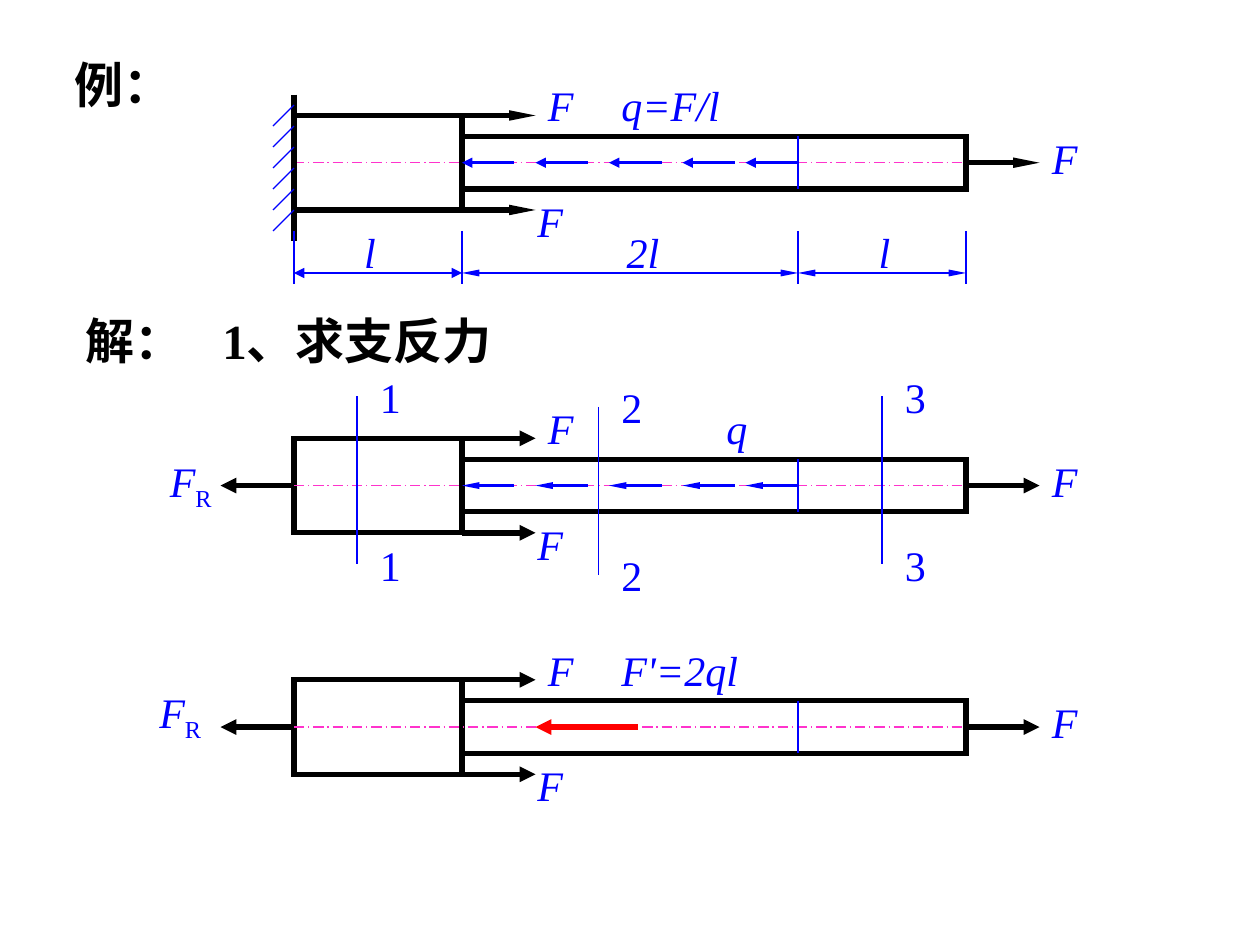
from dataclasses import dataclass

from lxml import etree
from pptx import Presentation
from pptx.dml.color import RGBColor
from pptx.enum.dml import MSO_LINE
from pptx.enum.shapes import MSO_CONNECTOR, MSO_SHAPE
from pptx.enum.text import MSO_AUTO_SIZE
from pptx.oxml.ns import qn
from pptx.util import Inches, Pt

STRAIGHT = MSO_CONNECTOR.STRAIGHT
RECT = MSO_SHAPE.RECTANGLE
GROW = MSO_AUTO_SIZE.SHAPE_TO_FIT_TEXT
DASH = MSO_LINE.LONG_DASH_DOT
LEFT, RIGHT = 1, 3
PLAIN = ("med", "med")
SLIM = ("sm", "lg")


@dataclass(frozen=True)
class Theme:
    """Colours, font, type sizes and line widths."""
    ink: RGBColor = RGBColor(0, 0, 0)
    blue: RGBColor = RGBColor(0, 0, 255)
    pink: RGBColor = RGBColor(255, 51, 204)
    red: RGBColor = RGBColor(255, 0, 0)
    font: str = "Times New Roman"
    title: float = 28
    label: float = 24
    thin: float = 0.75
    load: float = 1.5
    bold: float = 3


LOOK = Theme()


def cell(count):
    """Turn grid cells, twelve to the inch, into a length."""
    return Inches(count / 12)


def draw(slide, start, end, color, width, head=None, tail=None, dash=None):
    """Draw a straight line between two grid points."""
    line = slide.shapes.add_connector(STRAIGHT, *map(cell, (*start, *end)))
    line.line.color.rgb = color
    line.line.width = Pt(width)
    if dash:
        line.line.dash_style = dash
    props = line._element.spPr
    edge = props.find(qn("a:ln"))
    for tag, size in (("a:headEnd", head), ("a:tailEnd", tail)):
        if size:
            etree.SubElement(edge, qn(tag), type="triangle", w=size[0], len=size[1])
    etree.SubElement(props, qn("a:effectLst"))
    return line


def block(slide, box):
    """Draw an open rectangle with a heavy, square-cornered edge."""
    shape = slide.shapes.add_shape(RECT, *map(cell, box))
    shape.shadow.inherit = False
    shape.fill.background()
    shape.line.color.rgb = LOOK.ink
    shape.line.width = Pt(LOOK.bold)
    etree.SubElement(shape._element.spPr.find(qn("a:ln")), qn("a:miter"), lim="800000")
    return shape


def write(slide, text, box, size=LOOK.label, color=LOOK.blue,
          bold=False, slant=True, wrap=True, sub=""):
    """Write a label, with an upright subscript if one is given."""
    frame = slide.shapes.add_textbox(*map(cell, box)).text_frame
    frame.word_wrap = wrap
    frame.auto_size = GROW
    line = frame.paragraphs[0]
    line.text = text
    if sub:
        line.add_run().text = sub
    for run in line.runs:
        run.font.name = LOOK.font
        run.font.size = Pt(size)
        run.font.color.rgb = color
        run.font.bold = bold
        run.font.italic = slant
    if sub:
        line.runs[1].font.italic = False
        line.runs[1].font._element.set("baseline", "-25000")


def bar(slide, box, head=PLAIN):
    """Draw the stepped bar with its axis and pulls, and return its blocks."""
    x, y, wide, high = box
    mid, cut, end = x + wide / 4, x + wide * 3 / 4, x + wide
    axis, step = y + high / 2, high * 2 / 9
    thick = block(slide, (x, y, wide / 4, high))
    slim = block(slide, (mid, y + step, wide * 3 / 4, high - 2 * step))
    core = draw(slide, (x, axis), (end + 0.75, axis), LOOK.pink, LOOK.thin, dash=DASH)
    core.begin_connect(thick, LEFT)
    for row in (y, y + high):
        draw(slide, (mid, row), (mid + 7, row), LOOK.ink, LOOK.bold, tail=head)
    pull = draw(slide, (end, axis), (end + 7, axis), LOOK.ink, LOOK.bold, tail=head)
    pull.begin_connect(slim, RIGHT)
    draw(slide, (cut, y + step), (cut, y + high - step), LOOK.blue, LOOK.thin)
    for col, row in ((mid + 7, y - 4), (mid + 6, y + 7), (end + 7, y + 1)):
        write(slide, "F", (col, row, 5, 6))
    return thick, slim


def spread(slide, box, slim, head):
    """Draw the row of load arrows along the slim block."""
    x, y, wide, high = box
    mid, axis = x + wide / 4, y + high / 2
    for gap in (0, 7, 14, 21, 27):
        arrow = draw(slide, (mid + gap, axis), (mid + gap + 5, axis),
                     LOOK.blue, LOOK.load, head=head)
        if not gap:
            arrow.begin_connect(slim, LEFT)


def react(slide, box, thick, spot):
    """Draw the support force and its label."""
    x, y, _, high = box
    axis = y + high / 2
    force = draw(slide, (x - 7, axis), (x, axis), LOOK.ink, LOOK.bold, head=PLAIN)
    force.end_connect(thick, LEFT)
    write(slide, "F", (*spot, 7, 6.75), sub="R")


def wall(slide, box):
    """Draw the fixed support with its hatching."""
    x, y, _, high = box
    draw(slide, (x, y - 2), (x, y + high + 3), LOOK.ink, LOOK.bold)
    for row in range(6):
        top = y - 1 + 2 * row
        draw(slide, (x, top), (x - 2, top + 2), LOOK.blue, LOOK.thin)


def spans(slide, box):
    """Draw the dimension lines below the bar."""
    x, y, wide, high = box
    base = y + high + 6
    marks = [x + wide * part / 4 for part in (0, 1, 3, 4)]
    for col in marks:
        draw(slide, (col, base - 4), (col, base + 1), LOOK.blue, LOOK.thin)
    names = (("l", 33.5, 3.5, PLAIN), ("2l", 58.5, 5.5, SLIM), ("l", 82.5, 3.5, SLIM))
    for start, end, (name, col, size, head) in zip(marks, marks[1:], names):
        draw(slide, (start, base), (end, base), LOOK.blue, LOOK.thin, head, head)
        write(slide, name, (col, base - 5, size, 6), wrap=False)


def cuts(slide, box):
    """Draw the numbered section lines across the bar."""
    x, y, _, _ = box
    for name, gap, drop in (("1", 6, 0), ("2", 29, 1), ("3", 56, 0)):
        col, top = x + gap, y - 4 + drop
        draw(slide, (col, top), (col, top + 16), LOOK.blue, LOOK.thin)
        for row in (top - 3, top + 13):
            write(slide, name, (col + 1, row, 4, 6), slant=False)


def given(slide, box):
    """Draw the bar as the problem gives it."""
    _, slim = bar(slide, box, SLIM)
    wall(slide, box)
    spread(slide, box, slim, PLAIN)
    write(slide, "q=F/l", (box[0] + 30, box[1] - 4, 24, 6))
    spans(slide, box)


def freed(slide, box):
    """Draw the bar freed from its wall, with three sections."""
    thick, slim = bar(slide, box)
    react(slide, box, thick, (box[0] - 13, box[1] + 1))
    cuts(slide, box)
    spread(slide, box, slim, SLIM)
    write(slide, "q", (box[0] + 40, box[1] - 4, 14, 6))


def summed(slide, box):
    """Draw the bar with the spread load as one force."""
    x, y, _, high = box
    thick, _ = bar(slide, box)
    react(slide, box, thick, (x - 14, y))
    axis = y + high / 2
    draw(slide, (x + 23, axis), (x + 32.75, axis), LOOK.red, LOOK.bold, head=PLAIN)
    write(slide, "F'=2ql", (x + 30, y - 4, 19, 6))


def main():
    """Build the slide and save it."""
    deck = Presentation()
    deck.slide_width, deck.slide_height = cell(120), cell(90)
    slide = deck.slides.add_slide(deck.slide_layouts[6])
    heads = (("例：", (5.9, 4.6, 11.6, 6.8), False), ("解：", (7, 29, 12, 6.8), True),
             ("1、求支反力", (20, 29, 30, 6.8), True))
    for text, box, wrap in heads:
        write(slide, text, box, LOOK.title, LOOK.ink, bold=True, slant=False, wrap=wrap)
    for scene, top in ((given, 11), (freed, 41.75), (summed, 64.75)):
        scene(slide, (28, top, 64, 9))
    deck.save("out.pptx")


if __name__ == "__main__":
    main()
